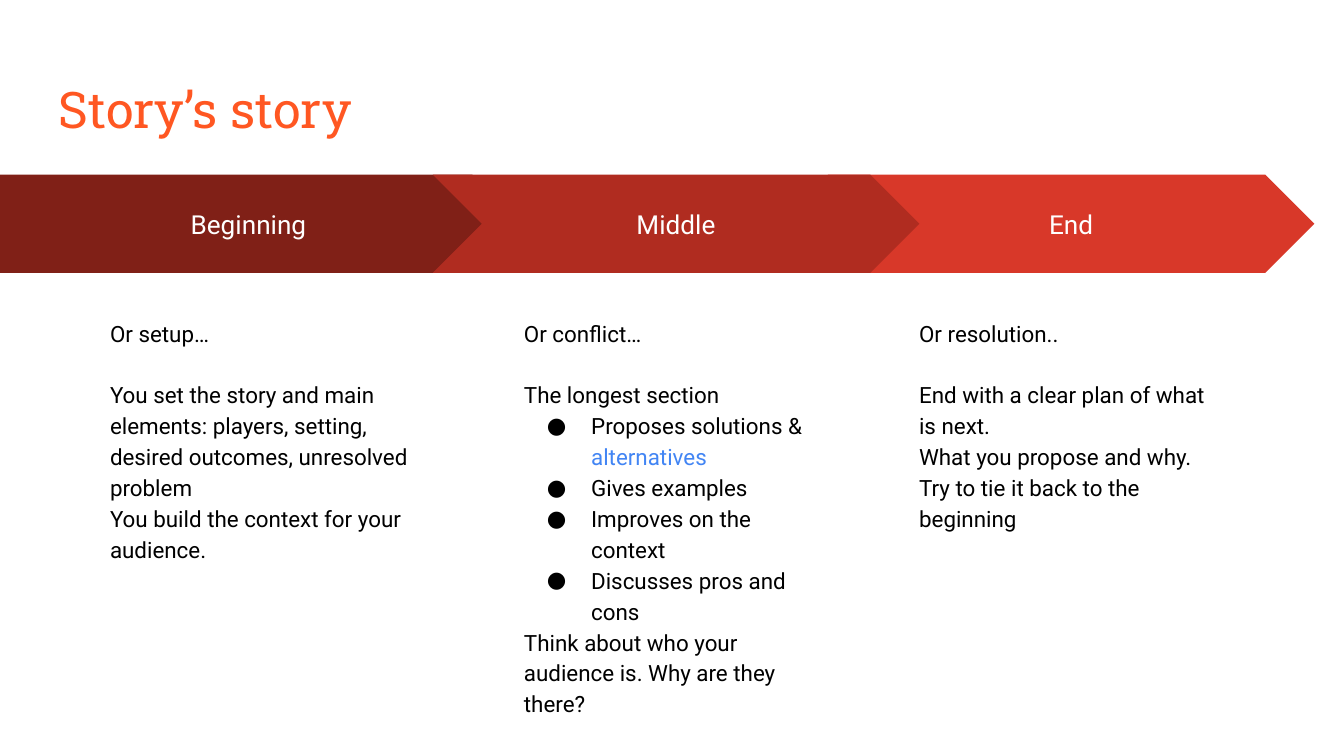
from lxml import etree
from pptx import Presentation
from pptx.dml.color import RGBColor
from pptx.enum.shapes import MSO_SHAPE
from pptx.enum.text import MSO_ANCHOR, PP_ALIGN
from pptx.oxml.ns import qn
from pptx.util import Inches, Pt

CHEVRON, PENTAGON = MSO_SHAPE.CHEVRON, MSO_SHAPE.PENTAGON
MIDDLE, CENTER = MSO_ANCHOR.MIDDLE, PP_ALIGN.CENTER

ORANGE = RGBColor(0xFF, 0x57, 0x22)
DARK_RED = RGBColor(0x80, 0x20, 0x17)
MID_RED = RGBColor(0xB0, 0x2C, 0x20)
BRIGHT_RED = RGBColor(0xD8, 0x38, 0x29)
BLUE = RGBColor(0x42, 0x85, 0xF4)
WHITE = RGBColor(0xFF, 0xFF, 0xFF)
BLACK = RGBColor(0, 0, 0)

BODY_FONT, TITLE_FONT = "Roboto", "Roboto Slab"
SLIDE_WIDTH = Inches(10)
SLIDE_HEIGHT = SLIDE_WIDTH * 9 // 16

PITCH = 2.94
FIRST_LEFT = 0.28
TEXT_INDENT = 0.58
ARROW_TOP, ARROW_WIDTH, ARROW_HEIGHT = 1.3, 3.62, 0.73
TEXT_TOP, TEXT_WIDTH, TEXT_HEIGHT = 2.25, 2.45, 2.86
BULLET = "● "
HEADING_GAP = Pt(16.5)


def style(font, name, size, color):
    font.name, font.size, font.color.rgb = name, Pt(size), color


def prepare_frame(shape, anchor=None):
    """Set wrapping and equal insets, and return the text frame."""
    frame = shape.text_frame
    frame.word_wrap = True
    frame.margin_left = frame.margin_right = Inches(0.1)
    frame.margin_top = frame.margin_bottom = Inches(0.1)
    if anchor is not None:
        frame.vertical_anchor = anchor
    return frame


def add_title(slide, text, box):
    shape = slide.shapes.add_textbox(*map(Inches, box))
    paragraph = prepare_frame(shape, MIDDLE).paragraphs[0]
    paragraph.text = text
    style(paragraph.runs[0].font, TITLE_FONT, 27, ORANGE)


def add_arrow(slide, kind, label, color, box):
    shape = slide.shapes.add_shape(kind, *map(Inches, box))
    shape.shadow.inherit = False
    shape.fill.solid()
    shape.fill.fore_color.rgb = color
    shape.line.fill.background()
    paragraph = prepare_frame(shape, MIDDLE).paragraphs[0]
    paragraph.text = label
    paragraph.alignment = CENTER
    style(paragraph.runs[0].font, BODY_FONT, 14, WHITE)


def add_bullet(paragraph):
    properties = paragraph._p.get_or_add_pPr()
    properties.set("marL", str(Inches(0.5)))
    properties.set("indent", str(Inches(-0.33)))
    color = etree.SubElement(properties, qn("a:buClr"))
    etree.SubElement(color, qn("a:srgbClr"), val=str(BLACK))
    etree.SubElement(properties, qn("a:buFont"), typeface=BODY_FONT)
    etree.SubElement(properties, qn("a:buChar"), char=BULLET.strip())


def add_description(slide, lines, highlight, box):
    """Write a heading and its text; lines starting with BULLET are bulleted."""
    frame = prepare_frame(slide.shapes.add_textbox(*map(Inches, box)))
    frame.text = "\n".join(line.removeprefix(BULLET) for line in lines)
    for index, (paragraph, line) in enumerate(zip(frame.paragraphs, lines)):
        if line.startswith(BULLET):
            add_bullet(paragraph)
        paragraph.line_spacing = 1.15
        if index == 1:
            paragraph.space_before = HEADING_GAP
        if highlight and line.endswith(highlight):
            run = paragraph.runs[0]
            run.text = run.text.removesuffix(highlight)
            paragraph.add_run().text = highlight
        for run in paragraph.runs:
            color = BLUE if run.text == highlight else BLACK
            style(run.font, BODY_FONT, 12, color)


def add_stage(slide, kind, label, color, lines, arrow_box, text_left, highlight=None):
    add_arrow(slide, kind, label, color, arrow_box)
    text_box = (text_left, TEXT_TOP, TEXT_WIDTH, TEXT_HEIGHT)
    add_description(slide, lines, highlight, text_box)


def add_chevron_stage(slide, column, label, color, lines, highlight=None):
    left = FIRST_LEFT + column * PITCH
    arrow_box = (left, ARROW_TOP, ARROW_WIDTH, ARROW_HEIGHT)
    add_stage(slide, CHEVRON, label, color, lines, arrow_box,
              left + TEXT_INDENT, highlight)


def main():
    presentation = Presentation()
    presentation.slide_width = SLIDE_WIDTH
    presentation.slide_height = SLIDE_HEIGHT
    slide = presentation.slides.add_slide(presentation.slide_layouts[6])

    add_title(slide, "Story’s story", (0.34, 0.49, 9.32, 0.63))
    add_chevron_stage(slide, 2, "End", BRIGHT_RED, [
        "Or resolution..",
        "End with a clear plan of what is next.",
        "What you propose and why.",
        "Try to tie it back to the beginning",
    ])
    add_stage(slide, PENTAGON, "Beginning", DARK_RED, [
        "Or setup…",
        "You set the story and main elements: players, setting, "
        "desired outcomes, unresolved problem",
        "You build the context for your audience.",
    ], (0, ARROW_TOP, 3.88, ARROW_HEIGHT), 0.72)
    # The middle stage comes last so that it covers the tip of the first arrow.
    add_chevron_stage(slide, 1, "Middle", MID_RED, [
        "Or conflict…",
        "The longest section",
        BULLET + "Proposes solutions & alternatives",
        BULLET + "Gives examples",
        BULLET + "Improves on the context",
        BULLET + "Discusses pros and cons",
        "Think about who your audience is. Why are they there?",
    ], highlight="alternatives")

    presentation.save("out.pptx")


if __name__ == "__main__":
    main()
